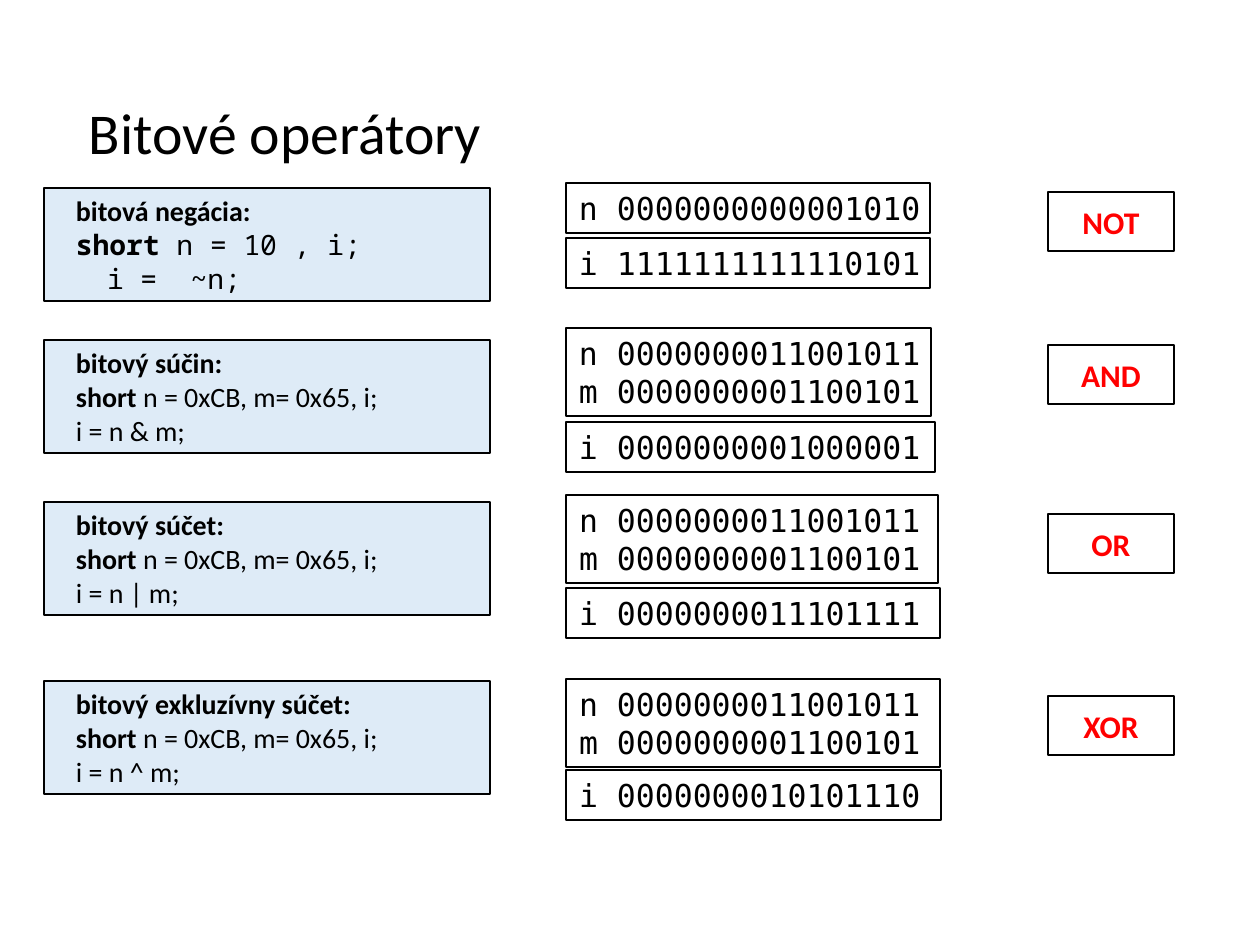
from pptx import Presentation
from pptx.dml.color import RGBColor
from pptx.enum.shapes import MSO_SHAPE as Shape
from pptx.enum.text import MSO_ANCHOR as Anchor, PP_ALIGN as Align
from pptx.util import Emu, Pt

PX = 914400 // 126
BLACK = RGBColor(0x00, 0x00, 0x00)
WHITE = RGBColor(0xFF, 0xFF, 0xFF)
RED = RGBColor(0xFF, 0x00, 0x00)
PALE_BLUE = RGBColor(0xDE, 0xEB, 0xF7)
SANS, CODE, BITS = "Calibri", "Noto Sans Mono", "DejaVu Sans Mono"

PAD_X, PAD_Y = 13, 6
CODE_LEFT, CODE_WIDTH, CODE_HEIGHT, CODE_INDENT = 44, 446, 113, 19
BITS_LEFT, RESULT_HEIGHT = 566, 50
LABEL_LEFT, LABEL_WIDTH, LABEL_HEIGHT = 1048, 126, 59

DECLARATION = " n = 0xCB, m= 0x65, i;"
OPERANDS = ["n 0000000011001011", "m 0000000001100101"]

# label, heading, code font, declaration, statement, statement indent,
# code top, label top, operands (top, width, height, lines), result (top, width, line)
OPERATORS = [
    ("NOT", "bitová negácia:", CODE, " n = 10 , i;", "i =  ~n;", 31, 188, 192,
     (183, 364, 50, ["n 0000000000001010"]), (238, 364, "i 1111111111110101")),
    ("AND", "bitový súčin:", SANS, DECLARATION, "i = n & m;", 0, 340, 345,
     (328, 365, 88, OPERANDS), (422, 369, "i 0000000001000001")),
    ("OR", "bitový súčet:", SANS, DECLARATION, "i = n | m;", 0, 502, 514,
     (495, 372, 88, OPERANDS), (588, 374, "i 0000000011101111")),
    ("XOR", "bitový exkluzívny súčet:", SANS, DECLARATION, "i = n ^ m;", 0, 681, 696,
     (679, 374, 88, OPERANDS), (770, 375, "i 0000000010101110")),
]


def add_panel(slide, box, fill=WHITE, outlined=True, wrap=False, indent=0):
    """Add a rectangle at box (left, top, width, height) and return its text frame."""
    panel = slide.shapes.add_shape(Shape.RECTANGLE, *(Emu(n * PX) for n in box))
    panel.shadow.inherit = False
    panel.fill.solid()
    panel.fill.fore_color.rgb = fill
    if outlined:
        panel.line.color.rgb = BLACK
        panel.line.width = Pt(0.75)
    else:
        panel.line.fill.background()
    frame = panel.text_frame
    frame.word_wrap = wrap
    frame.vertical_anchor = Anchor.TOP
    frame.margin_left = Emu((PAD_X + indent) * PX)
    frame.margin_right = Emu(PAD_X * PX)
    frame.margin_top = frame.margin_bottom = Emu(PAD_Y * PX)
    return frame


def write_lines(frame, lines, size, color=BLACK, align=Align.LEFT):
    """Write each line, a list of (text, font, bold) runs, as a paragraph."""
    for number, runs in enumerate(lines):
        paragraph = frame.add_paragraph() if number else frame.paragraphs[0]
        paragraph.alignment = align
        paragraph.line_spacing = Pt(size * 1.2)
        for text, font, bold in runs:
            run = paragraph.add_run()
            run.text = text
            run.font.name = font
            run.font.size = Pt(size)
            run.font.bold = bold
            run.font.color.rgb = color


def add_title(slide, box):
    frame = add_panel(slide, box, outlined=False)
    write_lines(frame, [[("Bitové operátory", SANS, False)]], 33)


def add_code(slide, box, heading, font, declaration, statement, statement_indent):
    frame = add_panel(slide, box, PALE_BLUE, wrap=True, indent=CODE_INDENT)
    write_lines(frame, [
        [(heading, SANS, True)],
        [("short", font, True), (declaration, font, False)],
        [(statement, font, False)],
    ], 16)
    if statement_indent:
        properties = frame.paragraphs[-1]._p.get_or_add_pPr()
        properties.set("marL", str(statement_indent * PX))


def add_bits(slide, box, lines):
    write_lines(add_panel(slide, box), [[(line, BITS, False)] for line in lines], 18)


def add_label(slide, box, label):
    frame = add_panel(slide, box)
    frame.vertical_anchor = Anchor.MIDDLE
    write_lines(frame, [[(label, SANS, True)]], 18, RED, Align.CENTER)


def add_operator(slide, label, heading, font, declaration, statement, statement_indent,
                 code_top, label_top, operands, result):
    add_code(slide, (CODE_LEFT, code_top, CODE_WIDTH, CODE_HEIGHT),
             heading, font, declaration, statement, statement_indent)
    top, width, height, lines = operands
    add_bits(slide, (BITS_LEFT, top, width, height), lines)
    top, width, line = result
    add_bits(slide, (BITS_LEFT, top, width, RESULT_HEIGHT), [line])
    add_label(slide, (LABEL_LEFT, label_top, LABEL_WIDTH, LABEL_HEIGHT), label)


def main():
    deck = Presentation()
    deck.slide_width, deck.slide_height = Emu(1260 * PX), Emu(945 * PX)
    slide = deck.slides.add_slide(deck.slide_layouts[6])
    add_title(slide, (76, 91, 421, 82))
    for operator in OPERATORS:
        add_operator(slide, *operator)
    deck.save("out.pptx")


if __name__ == "__main__":
    main()
